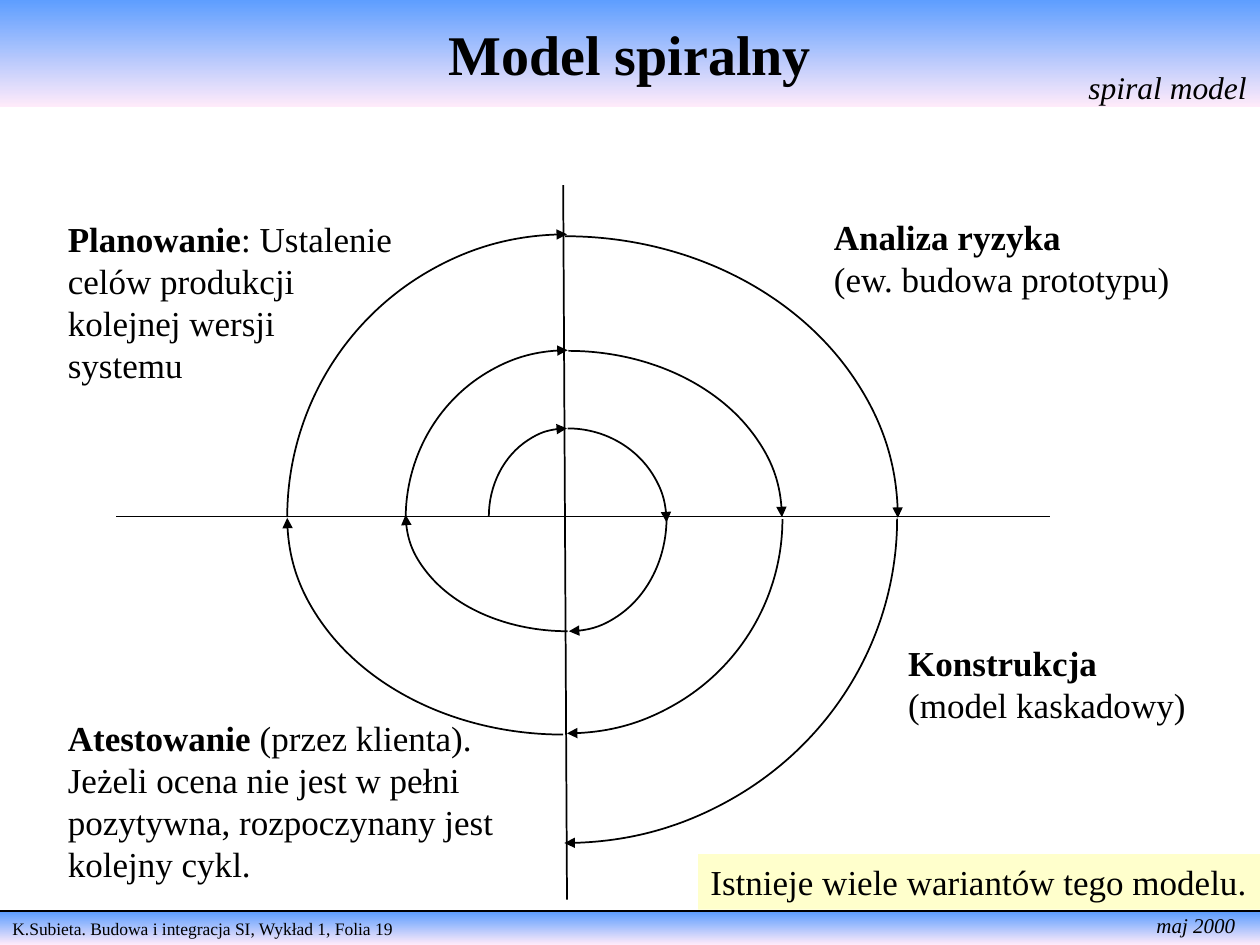
"""Build the spiral model slide."""
from lxml.etree import SubElement
from pptx import Presentation
from pptx.dml.color import RGBColor
from pptx.enum.shapes import MSO_CONNECTOR as CON, MSO_SHAPE as SHAPE
from pptx.enum.text import MSO_ANCHOR as ANCHOR, MSO_AUTO_SIZE as AUTO, PP_ALIGN as ALIGN
from pptx.oxml.ns import qn
from pptx.util import Inches, Pt

COLORS = {"ink": "000000", "sky": "5E9EFF", "blush": "FFEBFA", "note": "FFFFCC"}
FONT = "Times New Roman"
BOLD, ITALIC, PLAIN = {"bold": True}, {"italic": True}, {}

TITLE = ((0, 0, 10, 0.85), 32, [[("Model spiralny", BOLD)]])
FOOTER = ((0, 7.24, 10, 0.26), 10,
          [[("K.Subieta. Budowa i integracja SI, Wykład 1, Folia 19", PLAIN)]])
NOTE = ((5.54, 6.78, 4.46, 0.44), 20, [[("Istnieje wiele wariantów tego modelu.", PLAIN)]])
LABELS = [
    ((9.08, 7.19, 0.82, 0.3), 12, [[("maj 2000", ITALIC)]]),
    ((0.44, 1.68, 2.77, 1.44), 20, [
        [("Planowanie", BOLD), (": Ustalenie", PLAIN)],
        [("celów produkcji", PLAIN)],
        [("kolejnej wersji", PLAIN)],
        [("systemu", PLAIN)]]),
    ((6.52, 1.66, 2.88, 0.77), 20, [
        [("Analiza ryzyka", BOLD)],
        [("(ew. budowa prototypu)", PLAIN)]]),
    ((7.11, 5.04, 2.4, 0.77), 20, [
        [("Konstrukcja", BOLD)],
        [("(model kaskadowy)", PLAIN)]]),
    ((0.44, 5.64, 3.58, 1.44), 20, [
        [("Atestowanie", BOLD), (" (przez klienta).", PLAIN)],
        [("Jeżeli ocena nie jest w pełni", PLAIN)],
        [("pozytywna, rozpoczynany jest", PLAIN)],
        [("kolejny cykl.", PLAIN)]]),
    ((8.54, 0.49, 1.45, 0.4), 18, [[("spiral model", ITALIC)]]),
]
FOOTER_RULE = (0, 7.23, 10, 7.23)
AXES = [(8.33, 4.1, 0.92, 4.1), (4.47, 1.47, 4.5, 7.14)]
SPIRAL = [
    (3.88, 3.4, 1.24, 1.4), (3.76, 3.36, 1.49, 1.57),
    (3.74, 3.21, 1.55, 1.8), (3.58, 2.8, 1.85, 2.57),
    (3.22, 2.78, 2.57, 2.67), (3.19, 2.41, 2.64, 3.39),
    (2.79, 2.42, 3.42, 3.4), (2.75, 1.92, 3.44, 4.38),
    (2.28, 1.86, 4.44, 4.49), (2.25, 1.47, 4.47, 5.28),
    (1.84, 1.54, 5.28, 5.15),
]
ARC_START, ARC_END = 108, 162


def rgb(name):
    return RGBColor.from_string(COLORS[name])


def ink_line(sp):
    sp.line.color.rgb = rgb("ink")
    sp.line.width = Pt(1)


def add_line(s, ends):
    sp = s.shapes.add_connector(CON.STRAIGHT, *map(Inches, ends))
    ink_line(sp)
    SubElement(sp._element.spPr, qn("a:effectLst"))


def add_arc(s, box, turn):
    sp = s.shapes.add_shape(SHAPE.ARC, *map(Inches, box))
    sp.adjustments[0], sp.adjustments[1] = ARC_START, ARC_END
    sp.rotation = turn % 4 * 90
    sp.fill.background()
    ink_line(sp)
    SubElement(sp.line._get_or_add_ln(), qn("a:tailEnd"), type="triangle")
    sp.shadow.inherit = False


def add_panel(s, box):
    sp = s.shapes.add_shape(SHAPE.RECTANGLE, *map(Inches, box))
    sp.shadow.inherit = False
    sp.line.fill.background()
    return sp


def add_band(s, box):
    sp = add_panel(s, box)
    sp.fill.gradient()
    sp.fill.gradient_angle = 270
    for stop, name in zip(sp.fill.gradient_stops, ("sky", "blush")):
        stop.color.rgb = rgb(name)
    return sp


def write(sp, size, lines, align=ALIGN.LEFT, **frame):
    tf = sp.text_frame
    defaults = {"word_wrap": True, "vertical_anchor": ANCHOR.TOP,
                "auto_size": AUTO.NONE, "margin_right": 0}
    for name, value in {**defaults, **frame}.items():
        setattr(tf, name, value)
    for i, line in enumerate(lines):
        p = tf.add_paragraph() if i else tf.paragraphs[0]
        p.alignment = align
        for text, style in line:
            r = p.add_run()
            r.text = text
            r.font.color.rgb = rgb("ink")
            for name, value in {"name": FONT, "size": Pt(size), **style}.items():
                setattr(r.font, name, value)


def main():
    prs = Presentation()
    prs.slide_width, prs.slide_height = Inches(10), Inches(7.5)
    s = prs.slides.add_slide(prs.slide_layouts[6])

    box, size, lines = FOOTER
    write(add_band(s, box), size, lines)
    add_line(s, FOOTER_RULE)
    box, size, lines = TITLE
    write(add_band(s, box), size, lines, ALIGN.CENTER,
          vertical_anchor=ANCHOR.MIDDLE, margin_right=Inches(0.1))
    box, size, lines = NOTE
    sp = add_panel(s, box)
    sp.fill.solid()
    sp.fill.fore_color.rgb = rgb("note")
    write(sp, size, lines)

    for ends in AXES:
        add_line(s, ends)
    for turn, box in enumerate(SPIRAL):
        add_arc(s, box, turn)
    for box, size, lines in LABELS:
        write(s.shapes.add_textbox(*map(Inches, box)), size, lines)
    prs.save("out.pptx")


if __name__ == "__main__":
    main()
